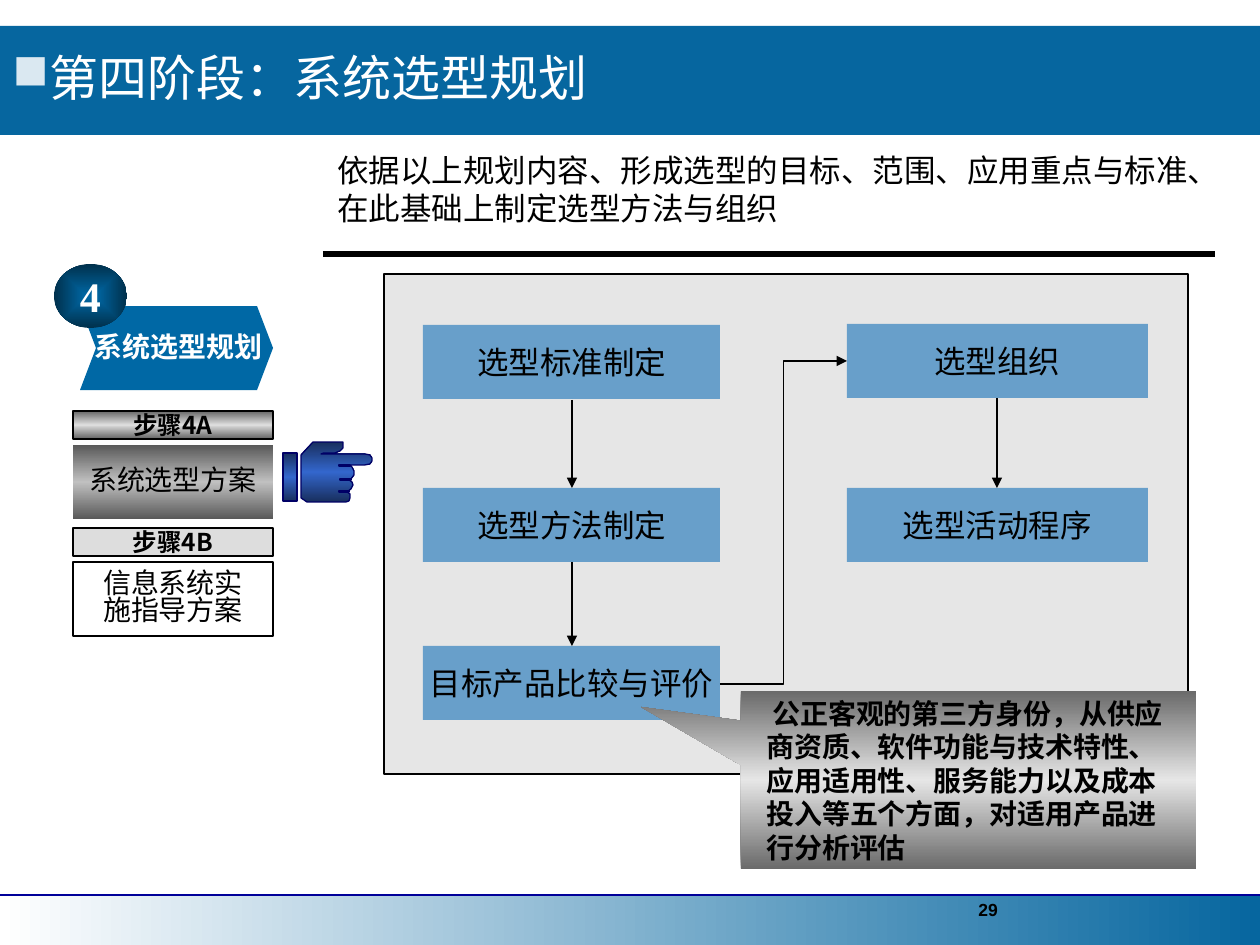
"""Build the slide on planning the system selection stage."""
import dataclasses
import typing

import lxml.etree
import pptx
import pptx.dml.color
import pptx.enum.shapes
import pptx.enum.text
import pptx.oxml.ns
import pptx.util

SCALE = 914400 / 126
KIND = pptx.enum.shapes.MSO_SHAPE
LINK = pptx.enum.shapes.MSO_CONNECTOR
ALIGN = pptx.enum.text.PP_ALIGN
ANCHOR = pptx.enum.text.MSO_ANCHOR
qn = pptx.oxml.ns.qn
Paint = typing.Union[str, tuple, None]


@dataclasses.dataclass(frozen=True)
class Theme:
    black: str = "000000"
    white: str = "FFFFFF"
    blue: str = "06669F"
    rule: str = "000099"
    mark: str = "DAE8F1"
    panel: str = "E6E6E6"
    node: str = "689FCA"
    arrow: str = "0068A5"
    step: str = "DDDDDD"
    navy: str = "000066"
    foot: tuple = ("FFFFFF", "06669F")
    ball: tuple = ("0068A5", "00304C")
    call: tuple = ("6A6A6A", "E6E6E6", "6A6A6A")
    head: tuple = ("666666", "DDDDDD", "666666")
    body: tuple = ("595959", "C0C0C0", "595959")
    hand: tuple = ("182F5E", "3366CC", "182F5E")
    sans: str = "Noto Sans CJK SC"
    latin: str = "Arial"
    serif: str = "Times New Roman"
    title: int = 28
    badge: int = 24
    large: int = 18
    mid: int = 16
    small: int = 14
    tiny: int = 10
    thin: float = 0.75


T = Theme()


@dataclasses.dataclass(frozen=True)
class Text:
    lines: tuple
    size: int = T.large
    color: str = T.black
    face: str = T.sans
    bold: bool = False
    align: typing.Any = ALIGN.CENTER
    anchor: typing.Any = ANCHOR.MIDDLE
    wrap: bool = False
    space: float = 1.0
    left: int = 0
    first: int = 0
    mark: str = ""


@dataclasses.dataclass(frozen=True)
class Box:
    x: int
    y: int
    w: int
    h: int
    fill: Paint = None
    edge: Paint = None
    text: typing.Optional[Text] = None
    kind: typing.Any = KIND.RECTANGLE
    angle: int = 90
    bends: tuple = ()


@dataclasses.dataclass(frozen=True)
class Line:
    x: int
    y: int
    to_x: int
    to_y: int
    color: str = T.black
    width: float = T.thin
    tip: bool = True
    kind: typing.Any = LINK.STRAIGHT


def px(value: int) -> int:
    return round(value * SCALE)


def rgb(code: str) -> pptx.dml.color.RGBColor:
    return pptx.dml.color.RGBColor.from_string(code)


def put(item: typing.Any, values: dict) -> None:
    for name, value in values.items():
        setattr(item, name, value)


def node(parent: typing.Any, tag: str, **values: str) -> typing.Any:
    return lxml.etree.SubElement(parent, qn(tag), values)


def paint(shape: typing.Any, fill: Paint, edge: Paint, angle: int = 90) -> None:
    shape.shadow.inherit = False
    if fill is None:
        shape.fill.background()
    elif isinstance(fill, str):
        shape.fill.solid()
        shape.fill.fore_color.rgb = rgb(fill)
    else:
        shape.fill.gradient()
        shape.fill.gradient_angle = angle
        grad = shape._element.spPr.find(qn("a:gradFill"))
        stops = grad.find(qn("a:gsLst"))
        stops.clear()
        for i, code in enumerate(fill):
            stop = node(stops, "a:gs", pos=str(100000 * i // (len(fill) - 1)))
            node(stop, "a:srgbClr", val=code)
        if fill == T.ball:
            grad.remove(grad.find(qn("a:lin")))
            ring = node(grad, "a:path", path="rect")
            node(ring, "a:fillToRect", **dict.fromkeys("ltrb", "50000"))
    if edge:
        shape.line.color.rgb = rgb(edge)
        shape.line.width = pptx.util.Pt(T.thin)
    else:
        shape.line.fill.background()


def write(shape: typing.Any, text: Text) -> None:
    frame = shape.text_frame
    side, top = pptx.util.Inches(0.1), pptx.util.Inches(0.05)
    put(frame, {"word_wrap": text.wrap, "vertical_anchor": text.anchor,
                "margin_left": side, "margin_right": side,
                "margin_top": top, "margin_bottom": top})
    for i, words in enumerate(text.lines):
        para = frame.add_paragraph() if i else frame.paragraphs[0]
        put(para, {"alignment": text.align, "line_spacing": text.space})
        props = para._p.get_or_add_pPr()
        if text.left:
            props.set("marL", str(px(text.left)))
            props.set("indent", str(px(text.first)))
        if text.mark:
            node(node(props, "a:buClr"), "a:srgbClr", val=T.mark)
            node(props, "a:buChar", char=text.mark)
        run = para.add_run()
        run.text = words
        put(run.font, {"size": pptx.util.Pt(text.size), "bold": text.bold, "name": text.face})
        run.font.color.rgb = rgb(text.color)
        node(run._r.get_or_add_rPr(), "a:ea", typeface=T.sans)


def draw(shapes: typing.Any, box: Box) -> None:
    area = [px(n) for n in (box.x, box.y, box.w, box.h)]
    if box.fill or box.edge:
        shape = shapes.add_shape(box.kind, *area)
        paint(shape, box.fill, box.edge, box.angle)
        for i, bend in enumerate(box.bends):
            shape.adjustments[i] = bend
    else:
        shape = shapes.add_textbox(*area)
    if box.text:
        write(shape, box.text)


def link(shapes: typing.Any, line: Line) -> None:
    ends = [px(n) for n in (line.x, line.y, line.to_x, line.to_y)]
    item = shapes.add_connector(line.kind, *ends)
    item.line.color.rgb = rgb(line.color)
    item.line.width = pptx.util.Pt(line.width)
    if line.tip:
        node(item.line._get_or_add_ln(), "a:tailEnd", type="triangle")
    node(item._element.spPr, "a:effectLst")


def trace(shapes: typing.Any, points: tuple, fill: Paint, edge: Paint) -> None:
    pen = shapes.build_freeform(*points[0], scale=SCALE)
    pen.add_line_segments(points[1:], close=True)
    paint(pen.convert_to_shape(), fill, edge)


BANNER = ((80, 306), (257, 306), (273, 348), (257, 390), (80, 390), (96, 348))
HAND = ((365, 465), (349, 465), (352, 467), (354, 471), (354, 475), (351, 479),
        (349, 480), (352, 482), (353, 485), (351, 489), (347, 492), (350, 494),
        (350, 498), (349, 501), (346, 502), (307, 502), (301, 498), (301, 455),
        (313, 442), (343, 442), (343, 448), (340, 451), (335, 453), (324, 453),
        (321, 454), (365, 454), (370, 455), (372, 458), (372, 461), (370, 464))
FOLDS = ((339, 465, 11), (340, 479, 11), (339, 491, 10))
NODES = ((423, 325, 297, "选型标准制定"), (423, 488, 297, "选型方法制定"),
         (423, 646, 297, "目标产品比较与评价"),
         (847, 324, 301, "选型组织"), (847, 488, 301, "选型活动程序"))
LINKS = (Line(572, 400, 572, 488), Line(572, 562, 572, 646),
         Line(720, 684, 847, 361, kind=LINK.ELBOW), Line(997, 398, 997, 488),
         Line(323, 254, 1215, 254, width=3, tip=False))
STEPS = ((411, "步骤4A", ("系统选型方案",), T.head, T.body, None),
         (528, "步骤4B", ("信息系统实", "施指导方案"), T.step, None, T.black))
TITLE = Text(("第四阶段：系统选型规划",), T.title, T.white, T.latin, align=ALIGN.LEFT,
             wrap=True, space=0.9, left=37, first=-37, mark="■")
PAGE = Text(("29",), T.tiny, face=T.latin, bold=True, align=ALIGN.LEFT,
            anchor=ANCHOR.TOP, wrap=True)
LEAD = Text(("依据以上规划内容、形成选型的目标、范围、应用重点与标准、在此基础上制定选型方法与组织",),
            align=ALIGN.LEFT, anchor=ANCHOR.TOP, wrap=True)
NOTE = Text(("公正客观的第三方身份，从供应商资质、软件功能与技术特性、应用适用性、服务能力以及成本投入等五个方面，对适用产品进行分析评估",),
            T.mid, bold=True, align=ALIGN.LEFT, wrap=True, left=13, first=6)
STAGE = Text(("系统选型规划",), T.mid, T.white, T.serif, True)
BADGE = Text(("4",), T.badge, T.white, T.serif, True)


def main() -> None:
    deck = pptx.Presentation()
    put(deck, {"slide_width": px(1260), "slide_height": px(945)})
    shapes = deck.slides.add_slide(deck.slide_layouts[6]).shapes
    draw(shapes, Box(0, 896, 1260, 51, T.foot, angle=0))
    link(shapes, Line(0, 895, 1260, 895, T.rule, 1, False))
    draw(shapes, Box(0, 26, 1260, 109, T.blue, text=TITLE))
    draw(shapes, Box(966, 893, 294, 45, text=PAGE))
    draw(shapes, Box(325, 145, 881, 88, text=LEAD))
    draw(shapes, Box(384, 274, 804, 500, T.panel, T.black))
    for x, y, w, words in NODES:
        draw(shapes, Box(x, y, w, 74, T.node, text=Text((words,))))
    for line in LINKS:
        link(shapes, line)
    draw(shapes, Box(741, 691, 455, 178, T.call, text=NOTE,
                     kind=KIND.RECTANGULAR_CALLOUT, bends=(-0.72, -0.41)))
    trace(shapes, BANNER, T.arrow, None)
    draw(shapes, Box(54, 264, 73, 64, T.ball, text=BADGE, kind=KIND.OVAL))
    draw(shapes, Box(64, 330, 229, 33, text=STAGE))
    for y, name, lines, head, body, edge in STEPS:
        draw(shapes, Box(73, y, 200, 28, head, T.black, Text((name,), T.small, bold=True)))
        draw(shapes, Box(73, y + 34, 200, 74, body, edge,
                         Text(lines, T.mid, wrap=True, space=0.8)))
    draw(shapes, Box(283, 453, 14, 48, T.hand, T.navy))
    trace(shapes, HAND, T.hand, T.navy)
    for x, y, w in FOLDS:
        draw(shapes, Box(x, y, w, 1, T.hand, T.navy))
    deck.save("out.pptx")


if __name__ == "__main__":
    main()
